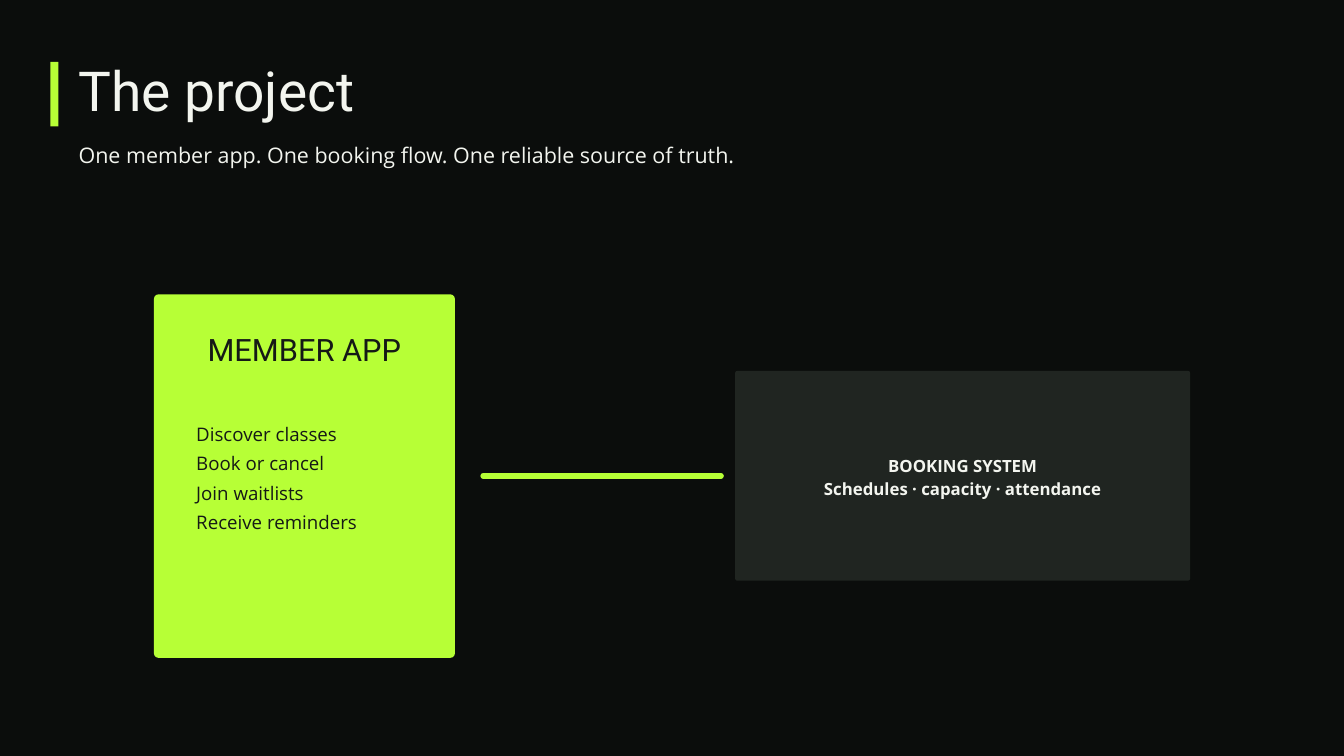
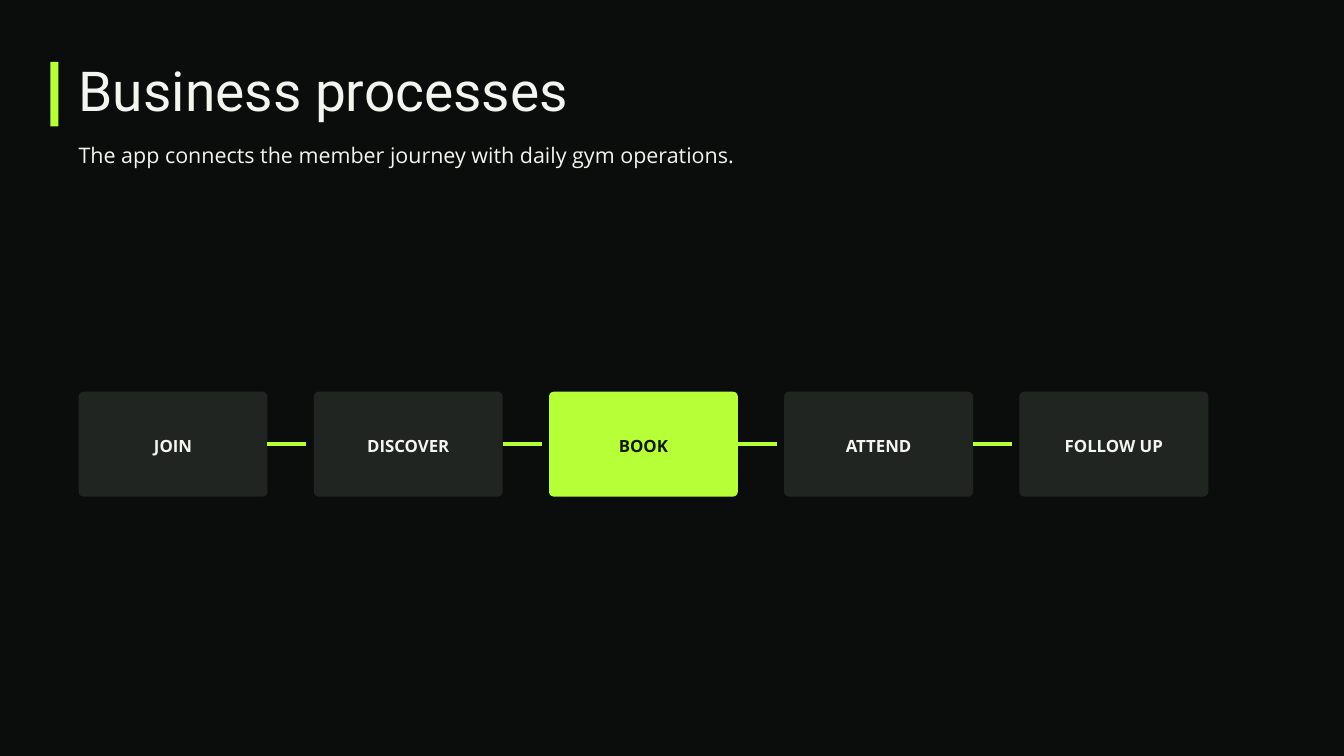
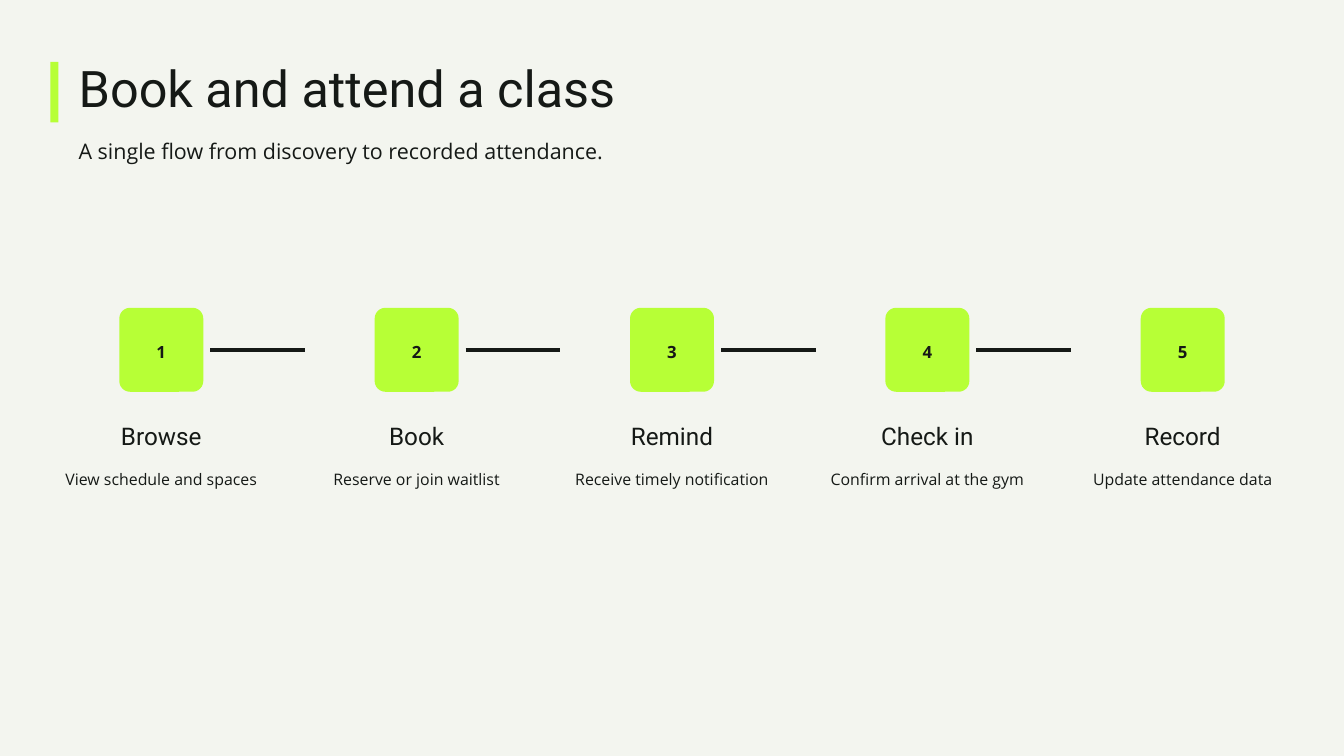
from pptx import Presentation, util as u
from pptx.dml.color import RGBColor
from pptx.enum import shapes, text
from pptx.oxml.ns import qn
from lxml import etree

COLORS = {"night": "0B0D0C", "paper": "F3F5EF", "ink": "151916",
          "lime": "B7FF36", "panel": "202521"}
HEAD, BODY = "Roboto", "Open Sans"
TITLE_ONLY, TITLE_AND_LIST = 5, 1
CENTER = text.PP_ALIGN.CENTER


def rgb(name):
    return RGBColor.from_string(COLORS[name])


def write(frame, lines, *, size, leading, color, font=BODY, bold=False,
          align=text.PP_ALIGN.LEFT, anchor=text.MSO_ANCHOR.TOP, inset=0):
    """Fill a text frame with one paragraph per line."""
    frame.word_wrap = True
    frame.auto_size = text.MSO_AUTO_SIZE.NONE
    frame.vertical_anchor = anchor
    frame.margin_left = frame.margin_right = u.Inches(inset)
    frame.margin_top = frame.margin_bottom = u.Inches(inset)
    frame.text = "\n".join(lines)
    for para in frame.paragraphs:
        para.alignment = align
        para.line_spacing = u.Pt(leading)
        para.space_before = para.space_after = u.Pt(0)
        span = para.runs[0].font
        span.name, span.size, span.bold = font, u.Pt(size), bold
        span.color.rgb = rgb(color)


class Deck:
    def __init__(self):
        self.file = Presentation()
        self.file.slide_width = u.Inches(20)
        self.file.slide_height = u.Inches(11.25)
        self.page = None

    def add_page(self, title, subtitle, *, back="night", color="paper", size=59,
                 leading=59.6, top=1, height=0.83, layout=TITLE_ONLY):
        """Start a slide with its title, subtitle and accent bar."""
        self.page = self.file.slides.add_slide(self.file.slide_layouts[layout])
        fill = self.page.background.fill
        fill.solid()
        fill.fore_color.rgb = rgb(back)
        heading = self.page.shapes.title
        self.place(heading, 1.17, top, 15.63, height)
        write(heading.text_frame, [title], size=size, leading=leading,
              color=color, font=HEAD)
        self.label(subtitle, 1.17, top + height + 0.25, 13.33, 0.42,
                   size=23, leading=30.4, color=color)
        self.card(0.75, 0.92, 0.12, height + 0.13)

    def place(self, shape, left, top, width, height):
        shape.left, shape.top = u.Inches(left), u.Inches(top)
        shape.width, shape.height = u.Inches(width), u.Inches(height)

    def label(self, words, left, top, width, height, **style):
        box = self.page.shapes.add_textbox(*map(u.Inches, (left, top, width, height)))
        write(box.text_frame, [words], **style)

    def plain_list(self, lines, left, top, width, height, **style):
        """Put an unbulleted list in the body placeholder, above earlier shapes."""
        body = self.page.placeholders[1]
        self.place(body, left, top, width, height)
        body.element.getparent().append(body.element)
        write(body.text_frame, lines, **style)
        for para in body.text_frame.paragraphs:
            props = para._p.get_or_add_pPr()
            props.set("marL", "0")
            props.set("indent", "0")
            etree.SubElement(props, qn("a:buNone"))

    def card(self, left, top, width, height, lines=(), *, radius=0.0, fill="lime",
             color="ink"):
        """Draw a filled box, with rounded corners if it has a radius."""
        kind = (shapes.MSO_SHAPE.ROUNDED_RECTANGLE if radius
                else shapes.MSO_SHAPE.RECTANGLE)
        box = self.page.shapes.add_shape(
            kind, *map(u.Inches, (left, top, width, height)))
        if radius:
            box.adjustments[0] = radius / min(width, height)
        box.shadow.inherit = False
        box.fill.solid()
        box.fill.fore_color.rgb = rgb(fill)
        box.line.fill.background()
        if lines:
            write(box.text_frame, lines, size=18, leading=25.2, color=color, bold=True,
                  align=CENTER, anchor=text.MSO_ANCHOR.MIDDLE, inset=0.06)
        return box

    def link(self, start, end, y, *, color="lime", weight=3.75, source=None,
             rounded=False):
        """Draw a level line, joined to the right side of source if given."""
        line = self.page.shapes.add_connector(
            shapes.MSO_CONNECTOR.STRAIGHT, *map(u.Inches, (start, y, end, y)))
        if source is not None:
            line.begin_connect(source, 3)
        line.line.color.rgb = rgb(color)
        line.line.width = u.Pt(weight)
        props = line.element.spPr
        if rounded:
            props.find(qn("a:ln")).set("cap", "rnd")
        etree.SubElement(props, qn("a:effectLst"))


def project(deck):
    deck.add_page("The project",
                  "One member app. One booking flow. One reliable source of truth.",
                  layout=TITLE_AND_LIST)
    # Member app
    deck.card(2.29, 4.38, 4.48, 5.41, radius=0.07)
    deck.label("MEMBER APP", 2.81, 4.83, 3.44, 0.64, size=33, leading=46.2,
               color="ink", font=HEAD, align=CENTER)
    deck.plain_list(["Discover classes", "Book or cancel", "Join waitlists",
                     "Receive reminders"],
                    2.92, 6.19, 3.23, 1.75, size=20, leading=31.4, color="ink")
    # Booking system
    deck.link(7.19, 10.73, 7.08, weight=6, rounded=True)
    deck.card(10.94, 5.52, 6.77, 3.12,
              ["BOOKING SYSTEM", "Schedules · capacity · attendance"],
              radius=0.03, fill="panel", color="paper")


def processes(deck):
    deck.add_page("Business processes",
                  "The app connects the member journey with daily gym operations.")
    stages = ["JOIN", "DISCOVER", "BOOK", "ATTEND", "FOLLOW UP"]
    width, pitch = 2.81, 3.5
    for index, stage in enumerate(stages):
        left = 1.17 + index * pitch
        fill, color = ("lime", "ink") if stage == "BOOK" else ("panel", "paper")
        box = deck.card(left, 5.83, width, 1.56, [stage], radius=0.07,
                        fill=fill, color=color)
        if index < len(stages) - 1:
            deck.link(left + width, left + 3.39, 6.61, source=box)


def class_flow(deck):
    deck.add_page("Book and attend a class",
                  "A single flow from discovery to recorded attendance.",
                  back="paper", color="ink", size=54, leading=55.1,
                  top=0.99, height=0.77)
    steps = [("Browse", "View schedule and spaces"),
             ("Book", "Reserve or join waitlist"),
             ("Remind", "Receive timely notification"),
             ("Check in", "Confirm arrival at the gym"),
             ("Record", "Update attendance data")]
    tile, column, pitch = 1.25, 3.12, 3.8
    for index, (name, detail) in enumerate(steps):
        middle = 10 + (index - 2) * pitch
        left = middle - column / 2
        deck.card(middle - tile / 2, 4.58, tile, tile, [str(index + 1)], radius=0.16)
        deck.label(name, left, 6.2, column, 0.5, size=26, leading=35.7,
                   color="ink", font=HEAD, align=CENTER)
        deck.label(detail, left, 6.96, column, 0.31, size=17, leading=22.2,
                   color="ink", align=CENTER)
        if index < len(steps) - 1:
            deck.link(middle + 0.73, middle + 2.14, 5.21, color="ink")


def main():
    deck = Deck()
    project(deck)
    processes(deck)
    class_flow(deck)
    deck.file.save("out.pptx")


if __name__ == "__main__":
    main()
